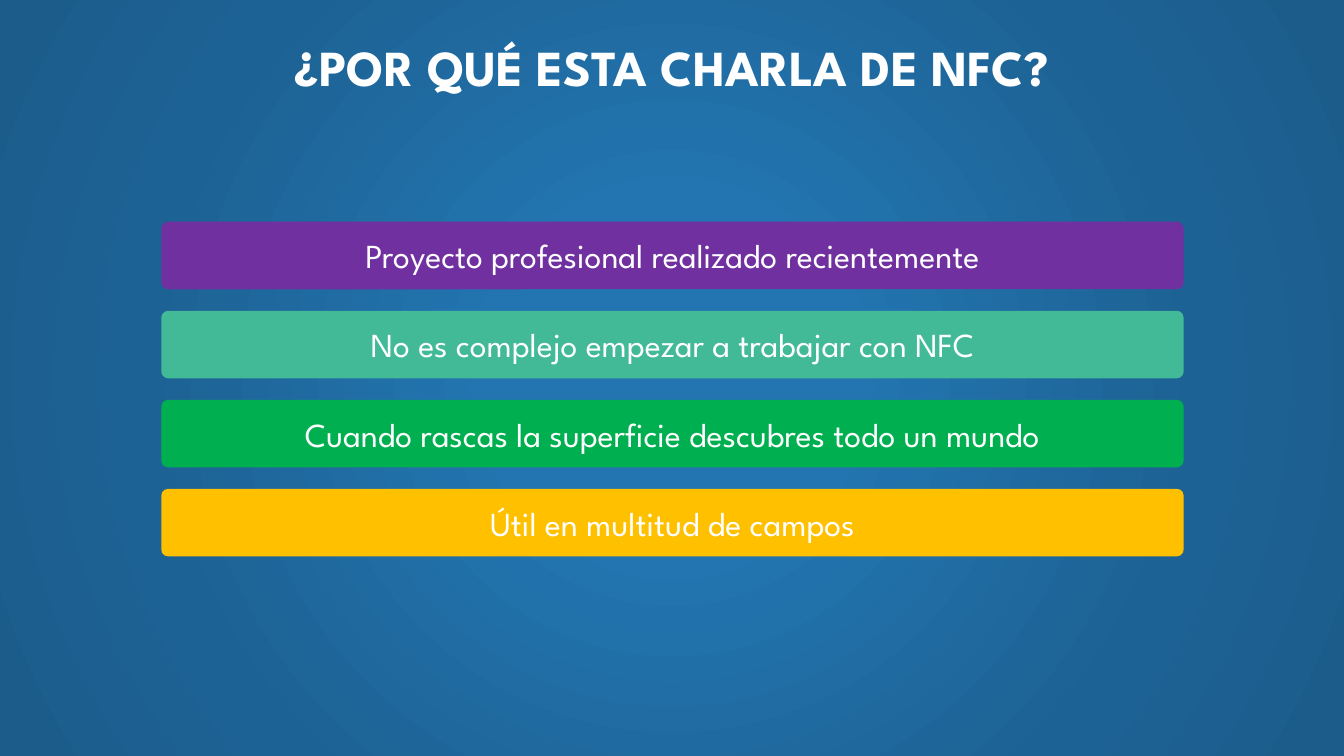
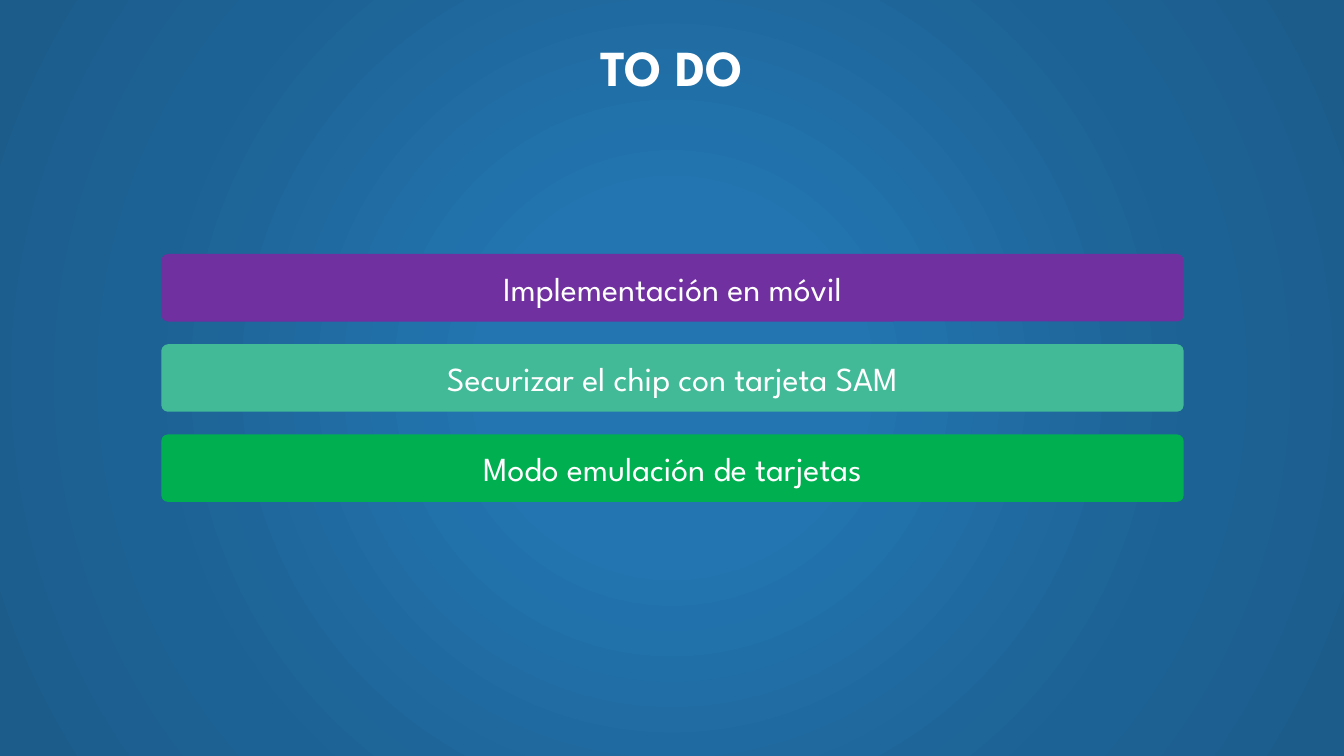
"""Build two NFC talk slides, each a title over a stack of coloured bars."""
from lxml.etree import SubElement
from pptx import Presentation
from pptx.dml.color import RGBColor
from pptx.enum.shapes import MSO_SHAPE
from pptx.enum.text import MSO_ANCHOR, PP_ALIGN
from pptx.oxml.ns import qn
from pptx.util import Inches, Pt

WHITE = RGBColor(0xFF, 0xFF, 0xFF)
GREY = RGBColor(0xA6, 0xA6, 0xA6)
PURPLE = RGBColor(0x70, 0x30, 0xA0)
TEAL = RGBColor(0x42, 0xBA, 0x97)
GREEN = RGBColor(0x00, 0xB0, 0x50)
AMBER = RGBColor(0xFF, 0xC0, 0x00)
BRIGHT_BLUE = RGBColor(0x22, 0x75, 0xB0)
MID_BLUE = RGBColor(0x1D, 0x62, 0x94)
DEEP_BLUE = RGBColor(0x1B, 0x5C, 0x8B)

BAR_COLOURS = (PURPLE, TEAL, GREEN, AMBER)
BACKDROP_STOPS = ((0, BRIGHT_BLUE), (23, BRIGHT_BLUE), (69, MID_BLUE), (97, DEEP_BLUE))
FONT = "League Spartan"
TITLE_FORMAT = {"name": FONT, "size": Pt(36), "bold": True}
BAR_FORMAT = {"name": FONT, "size": Pt(24), "bold": False}

SLIDE_WIDTH, SLIDE_HEIGHT = 13.33, 7.5
TITLE_HEIGHT = 1.31
BAR_LEFT, BAR_WIDTH, BAR_HEIGHT = 1.6, 10.14, 0.67

SLIDES = (
    {
        "title": "¿POR QUÉ ESTA CHARLA DE NFC?",
        "first_top": 2.2,
        "last_top": 4.85,
        "points": (
            "Proyecto profesional realizado recientemente",
            "No es complejo empezar a trabajar con NFC",
            "Cuando rascas la superficie descubres todo un mundo",
            "Útil en multitud de campos",
        ),
    },
    {
        "title": "TO DO",
        "first_top": 2.52,
        "last_top": 4.31,
        "points": (
            "Implementación en móvil",
            "Securizar el chip con tarjeta SAM",
            "Modo emulación de tarjetas",
        ),
    },
)


def set_backdrop(master):
    master.background.fill.solid()
    properties = master.element.find(".//" + qn("p:bgPr"))
    properties.remove(properties[0])
    gradient = SubElement(properties, qn("a:gradFill"), rotWithShape="1")
    properties.insert(0, gradient)
    stops = SubElement(gradient, qn("a:gsLst"))
    for percent, colour in BACKDROP_STOPS:
        stop = SubElement(stops, qn("a:gs"), pos=str(percent * 1000))
        SubElement(stop, qn("a:srgbClr"), val=str(colour))
    circle = SubElement(gradient, qn("a:path"), path="circle")
    SubElement(circle, qn("a:fillToRect"), l="50000", t="50000", r="50000", b="50000")


def write_centred(frame, wording, font_format):
    frame.word_wrap = True
    frame.vertical_anchor = MSO_ANCHOR.MIDDLE
    paragraph = frame.paragraphs[0]
    paragraph.alignment = PP_ALIGN.CENTER
    run = paragraph.add_run()
    run.text = wording
    for attribute, value in font_format.items():
        setattr(run.font, attribute, value)
    return run.font


def add_title(slide, wording):
    title = slide.shapes.add_textbox(0, 0, Inches(SLIDE_WIDTH), Inches(TITLE_HEIGHT))
    fill = write_centred(title.text_frame, wording, TITLE_FORMAT).fill
    fill.gradient()
    fill.gradient_angle = 267
    for stop, colour in zip(fill.gradient_stops, (WHITE, GREY)):
        stop.color.rgb = colour


def add_bar(slide, top, wording, colour):
    bar = slide.shapes.add_shape(
        MSO_SHAPE.ROUNDED_RECTANGLE,
        Inches(BAR_LEFT), Inches(top), Inches(BAR_WIDTH), Inches(BAR_HEIGHT),
    )
    bar.adjustments[0] = 0.1
    bar.shadow.inherit = False
    bar.fill.solid()
    bar.fill.fore_color.rgb = colour
    bar.line.fill.background()
    write_centred(bar.text_frame, wording, BAR_FORMAT).color.rgb = WHITE


def add_bars(slide, points, first_top, last_top):
    pitch = (last_top - first_top) / (len(points) - 1)
    for row, (wording, colour) in enumerate(zip(points, BAR_COLOURS)):
        add_bar(slide, first_top + row * pitch, wording, colour)


def main():
    deck = Presentation()
    deck.slide_width = Inches(SLIDE_WIDTH)
    deck.slide_height = Inches(SLIDE_HEIGHT)
    set_backdrop(deck.slide_master)
    for content in SLIDES:
        slide = deck.slides.add_slide(deck.slide_layouts[6])
        add_title(slide, content["title"])
        add_bars(slide, content["points"], content["first_top"], content["last_top"])
    deck.save("out.pptx")


if __name__ == "__main__":
    main()
